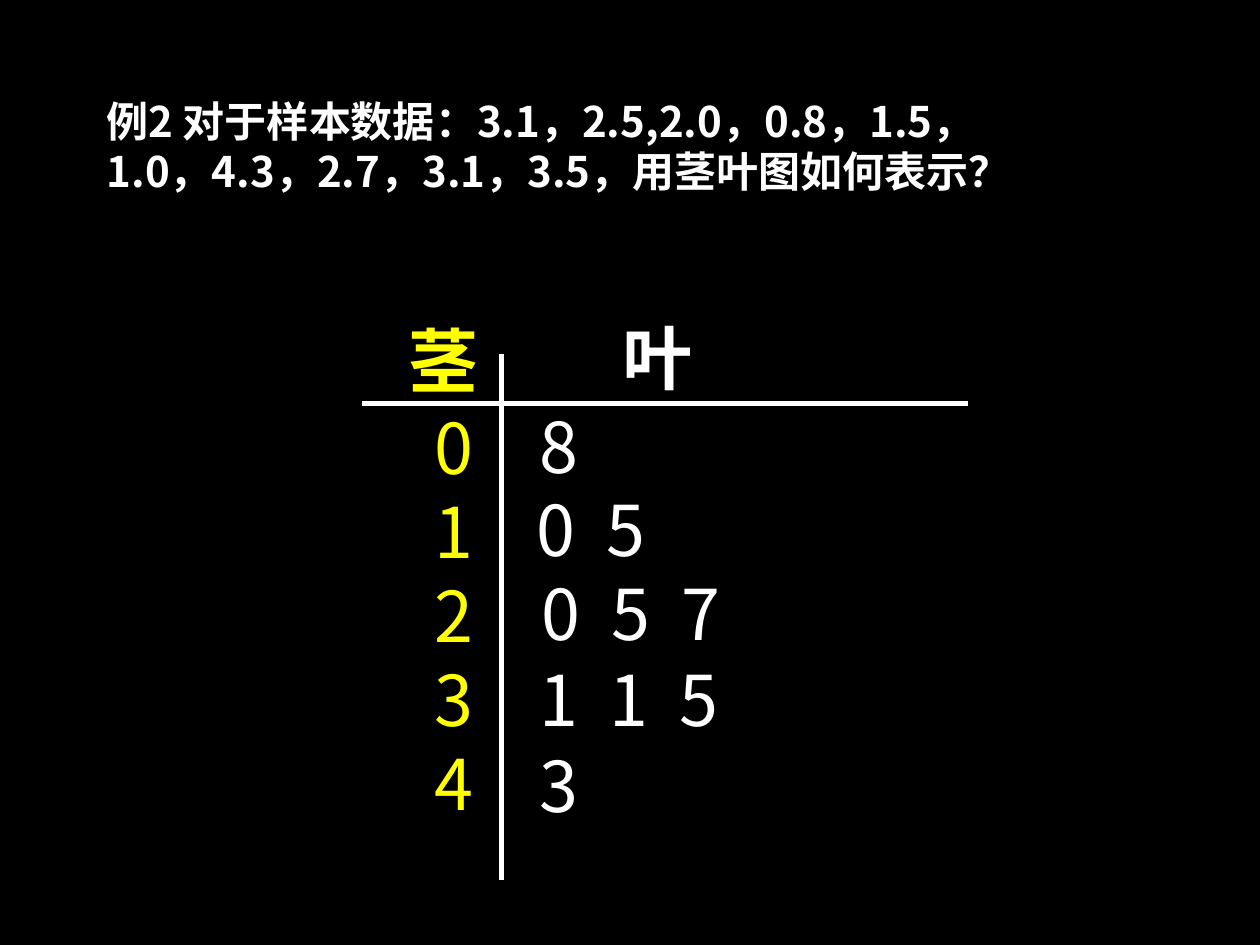
from dataclasses import dataclass

from lxml.etree import SubElement
from pptx import Presentation
from pptx.dml.color import RGBColor as RGB
from pptx.enum.shapes import MSO_CONNECTOR as Connector
from pptx.enum.text import MSO_ANCHOR as Anchor, MSO_AUTO_SIZE as AutoSize, PP_ALIGN as Align
from pptx.oxml.ns import qn
from pptx.util import Cm, Pt


@dataclass(frozen=True)
class Theme:
    background: RGB = RGB(0, 0, 0)
    text: RGB = RGB(255, 255, 255)
    stem: RGB = RGB(255, 255, 0)
    body_font: str = "Noto Sans CJK SC"
    head_font: str = "Arial"
    question_size: int = 24
    plot_size: int = 40
    rule_width: int = 3
    leading: float = 1.2


@dataclass(frozen=True)
class Label:
    lines: tuple[str, ...]
    left: float
    top: float
    width: float
    height: float
    color: RGB
    size: int
    font: str
    bold: bool = False


@dataclass(frozen=True)
class Rule:
    x1: float
    y1: float
    x2: float
    y2: float


THEME = Theme()
LEAF_PITCH = 1.41
ROW_HEIGHT = 1.96

QUESTION = Label(
    ("例2 对于样本数据：3.1，2.5,2.0，0.8，1.5，1.0，4.3，2.7，3.1，3.5，用茎叶图如何表示？",),
    1.9, 1.73, 20.09, 3.3, THEME.text, THEME.question_size, THEME.body_font, True)
HEADINGS = (
    Label(("茎",), 7.98, 6.17, 2.21, ROW_HEIGHT, THEME.stem,
          THEME.plot_size, THEME.head_font, True),
    Label(("叶",), 12.29, 6.12, 2.21, ROW_HEIGHT, THEME.text,
          THEME.plot_size, THEME.head_font, True),
)
STEMS = Label(tuple("01234"), 8.51, 7.92, 1.8, 8.74, THEME.stem,
              THEME.plot_size, THEME.body_font)
# Leaves of each stem, with the left, top and width of their row
LEAF_ROWS = (
    ("8", 10.62, 7.9, 2.67),
    ("05", 10.57, 9.58, 7.01),
    ("057", 10.67, 11.28, 5.99),
    ("115", 10.62, 13.0, 7.49),
    ("3", 10.62, 14.73, 2.67),
)
RULES = (Rule(10.11, 7.14, 10.11, 17.73), Rule(7.29, 8.13, 19.51, 8.13))


def add_leaf_tabs(p, count: int) -> None:
    """Put one left tab stop at each leaf after the first."""
    tabs = SubElement(p._p.get_or_add_pPr(), qn("a:tabLst"))
    for i in range(1, count + 1):
        SubElement(tabs, qn("a:tab"), pos=str(Cm(i * LEAF_PITCH)), algn="l")


def write_label(sp, label: Label) -> None:
    sp.left, sp.top = Cm(label.left), Cm(label.top)
    sp.width, sp.height = Cm(label.width), Cm(label.height)
    tf = sp.text_frame
    tf.word_wrap = True
    tf.auto_size = AutoSize.NONE
    tf.vertical_anchor = Anchor.TOP
    tf.margin_left = tf.margin_right = Cm(0.25)
    # Fixed leading trims the ascent, so the top margin grows with the type
    tf.margin_top = Cm(0.13 + label.size * 0.0025)
    tf.margin_bottom = Cm(0)
    for i, line in enumerate(label.lines):
        p = tf.add_paragraph() if i else tf.paragraphs[0]
        p.text = line
        if "\t" in line:
            add_leaf_tabs(p, line.count("\t"))
        p.alignment = Align.LEFT
        p.line_spacing = Pt(label.size * THEME.leading)
        p.space_before = Pt(0)
        font = p.font
        font.name, font.size, font.bold = label.font, Pt(label.size), label.bold
        font.color.rgb = label.color
        SubElement(p._p.pPr.find(qn("a:defRPr")), qn("a:ea"), typeface=THEME.body_font)


def add_label(slide, label: Label) -> None:
    write_label(slide.shapes.add_textbox(0, 0, 0, 0), label)


def add_rule(slide, rule: Rule) -> None:
    line = slide.shapes.add_connector(
        Connector.STRAIGHT, Cm(rule.x1), Cm(rule.y1), Cm(rule.x2), Cm(rule.y2))
    line.line.color.rgb = THEME.text
    line.line.width = Pt(THEME.rule_width)
    SubElement(line._element.spPr, qn("a:effectLst"))


def main() -> None:
    prs = Presentation()
    prs.slide_width, prs.slide_height = Cm(25.4), Cm(19.05)
    slide = prs.slides.add_slide(prs.slide_layouts[5])
    slide.background.fill.solid()
    slide.background.fill.fore_color.rgb = THEME.background

    write_label(slide.shapes.title, QUESTION)
    add_label(slide, STEMS)
    for leaves, left, top, width in LEAF_ROWS:
        add_label(slide, Label(("\t".join(leaves),), left, top, width, ROW_HEIGHT,
                               THEME.text, THEME.plot_size, THEME.body_font))
    for rule in RULES:
        add_rule(slide, rule)
    for heading in HEADINGS:
        add_label(slide, heading)
    prs.save("out.pptx")


if __name__ == "__main__":
    main()
